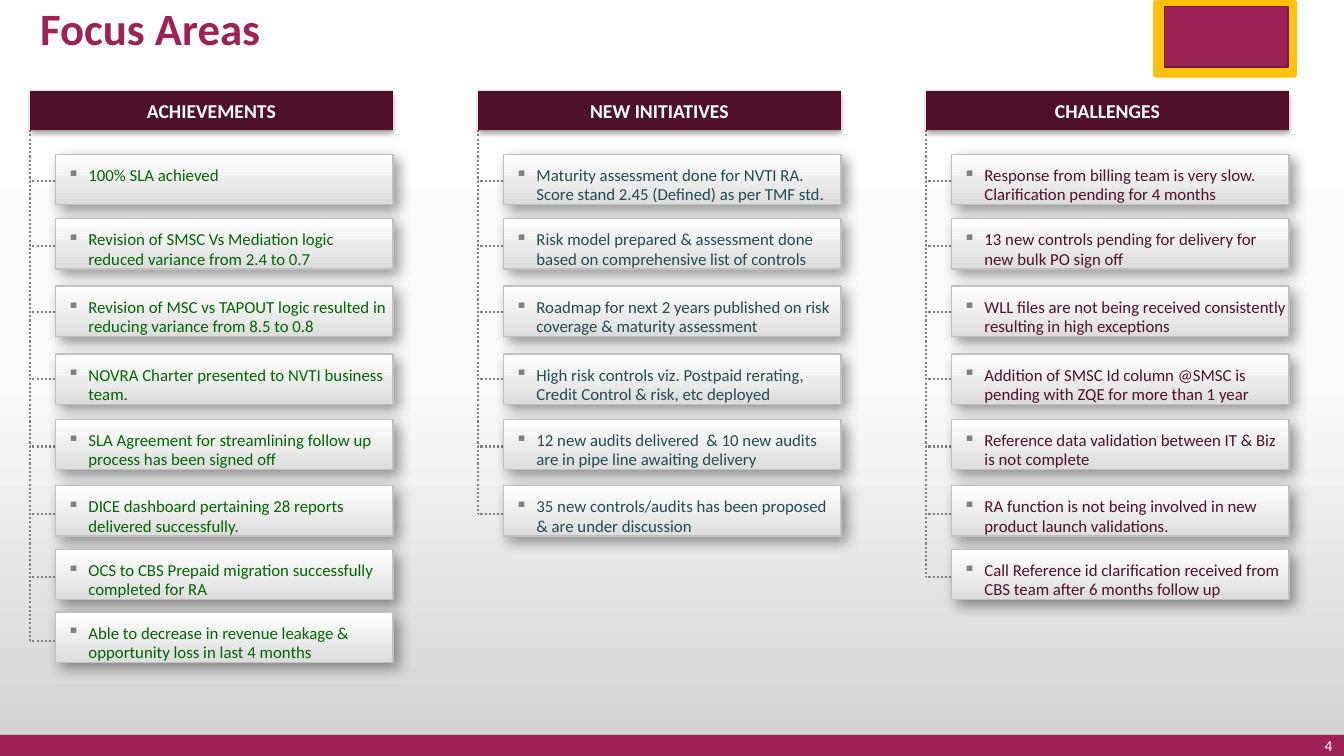
"""Build the Focus Areas slide with three columns of linked cards."""
import copy

import lxml.etree
import pptx
import pptx.dml.color
import pptx.enum.dml
import pptx.enum.shapes
import pptx.enum.text
import pptx.oxml.ns
import pptx.util

Cm = pptx.util.Cm
Pt = pptx.util.Pt
RGBColor = pptx.dml.color.RGBColor
MSO_SHAPE = pptx.enum.shapes.MSO_SHAPE
PP_ALIGN = pptx.enum.text.PP_ALIGN
MSO_ANCHOR = pptx.enum.text.MSO_ANCHOR
qn = pptx.oxml.ns.qn

BERRY = RGBColor(0x9E, 0x21, 0x56)
BERRY_EDGE = RGBColor(0x75, 0x18, 0x40)
PLUM = RGBColor(0x4F, 0x10, 0x2B)
GOLD = RGBColor(0xFF, 0xC1, 0x0E)
GREEN = RGBColor(0x00, 0x66, 0x00)
TEAL = RGBColor(0x22, 0x4B, 0x50)
GREY = RGBColor(0x80, 0x80, 0x80)
SILVER = RGBColor(0xC0, 0xC0, 0xC0)
CARD_GREY = RGBColor(0xDD, 0xDD, 0xDD)
PAGE_LIGHT = RGBColor(0xFB, 0xFB, 0xFB)
PAGE_DARK = RGBColor(0xD1, 0xD1, 0xD1)
WHITE = RGBColor(0xFF, 0xFF, 0xFF)
BLACK = RGBColor(0, 0, 0)

FONT = "Calibri"
COLUMN_LEFT, COLUMN_STEP = 0.76, 11.29
HEADER_TOP, HEADER_WIDTH, HEADER_HEIGHT = 2.29, 9.14, 0.99
CARD_INDENT, CARD_WIDTH, CARD_HEIGHT = 0.64, 8.51, 1.27
CARD_TOPS = [3.89, 5.51, 7.21, 8.92, 10.57, 12.24, 13.84, 15.42]
BRANCH_TOPS = [4.55, 6.2, 7.87, 9.55, 11.25, 12.95, 14.53, 16.15]

COLUMNS = [
    ("ACHIEVEMENTS", GREEN, [
        "100% SLA achieved",
        "Revision of SMSC Vs Mediation logic reduced variance from 2.4 to 0.7",
        "Revision of MSC vs TAPOUT logic resulted in reducing variance from 8.5 to 0.8",
        "NOVRA Charter presented to NVTI business team.",
        "SLA Agreement for streamlining follow up process has been signed off",
        "DICE dashboard pertaining 28 reports delivered successfully.",
        "OCS to CBS Prepaid migration successfully completed for RA",
        "Able to decrease in revenue leakage & opportunity loss in last 4 months",
    ]),
    ("NEW INITIATIVES", TEAL, [
        "Maturity assessment done for NVTI RA. Score stand 2.45 (Defined) as per TMF std.",
        "Risk model prepared & assessment done based on comprehensive list of controls",
        "Roadmap for next 2 years published on risk coverage & maturity assessment",
        "High risk controls viz. Postpaid rerating, Credit Control & risk, etc deployed",
        "12 new audits delivered  & 10 new audits are in pipe line awaiting delivery",
        "35 new controls/audits has been proposed & are under discussion",
    ]),
    ("CHALLENGES", PLUM, [
        "Response from billing team is very slow. Clarification pending for 4 months",
        "13 new controls pending for delivery for new bulk PO sign off",
        "WLL files are not being received consistently resulting in high exceptions",
        "Addition of SMSC Id column @SMSC is pending with ZQE for more than 1 year",
        "Reference data validation between IT & Biz is not complete",
        "RA function is not being involved in new product launch validations.",
        "Call Reference id clarification received from CBS team after 6 months follow up",
    ]),
]


def add_box(s, kind, left, top, width, height, fill=None, line=None):
    """Add a preset shape without shadow."""
    sp = s.shapes.add_shape(kind, Cm(left), Cm(top), Cm(width), Cm(height))
    sp.shadow.inherit = False
    if fill is not None:
        sp.fill.solid()
        sp.fill.fore_color.rgb = fill
    if line is None:
        sp.line.fill.background()
    else:
        sp.line.color.rgb = line
        sp.line.width = Pt(1)
    return sp


def add_shadow(sp, opacity, blur, distance, angle):
    """Give a shape an outer shadow."""
    effects = sp.element.find(qn("p:spPr")).find(qn("a:effectLst"))
    shadow = lxml.etree.SubElement(
        effects, qn("a:outerShdw"), blurRad=str(Pt(blur)), dist=str(Pt(distance)),
        dir=str(angle * 60000), algn="ctr", rotWithShape="0")
    color = lxml.etree.SubElement(shadow, qn("a:srgbClr"), val=str(BLACK))
    lxml.etree.SubElement(color, qn("a:alpha"), val=str(opacity * 1000))


def color_stops(fill, colors, angle):
    """Set the colours and direction of a gradient fill."""
    fill.gradient_angle = angle
    for i, (stop, color) in enumerate(zip(fill.gradient_stops, colors)):
        stop.color.rgb = color
        stop.position = i / (len(colors) - 1)


def set_background(s):
    """Fill the page with a three-stop vertical gradient."""
    fill = s.background.fill
    fill.gradient()
    stops = s.element.find(".//" + qn("a:gsLst"))
    stops.append(copy.deepcopy(stops[-1]))
    color_stops(fill, [WHITE, PAGE_LIGHT, PAGE_DARK], 270)


def set_text(sp, text, size, color, bold=False, align=PP_ALIGN.LEFT,
             anchor=MSO_ANCHOR.MIDDLE):
    """Write one styled paragraph into a shape."""
    tf = sp.text_frame
    tf.word_wrap = True
    tf.vertical_anchor = anchor
    p = tf.paragraphs[0]
    p.text = text
    p.alignment = align
    p.font.name = FONT
    p.font.size = Pt(size)
    p.font.bold = bold
    p.font.color.rgb = color
    return p


def add_label(s, left, top, width, height, *style, **options):
    """Add a text box with one paragraph."""
    sp = s.shapes.add_textbox(Cm(left), Cm(top), Cm(width), Cm(height))
    return set_text(sp, *style, **options)


def add_bullet(p):
    """Give a paragraph a hanging grey square bullet."""
    pPr = p._p.get_or_add_pPr()
    pPr.set("marL", str(Cm(0.53)))
    pPr.set("indent", str(-Cm(0.53)))
    color = lxml.etree.Element(qn("a:buClr"))
    lxml.etree.SubElement(color, qn("a:srgbClr"), val=str(GREY))
    mark = lxml.etree.Element(qn("a:buChar"), char="▪")
    font = pPr.find(qn("a:defRPr"))
    font.addprevious(color)
    font.addprevious(mark)


def add_dotted_line(s, x1, y1, x2, y2):
    """Add a dotted grey connector."""
    c = s.shapes.add_connector(pptx.enum.shapes.MSO_CONNECTOR.STRAIGHT,
                               Cm(x1), Cm(y1), Cm(x2), Cm(y2))
    c.line.color.rgb = GREY
    c.line.width = Pt(1.5)
    c.line.dash_style = pptx.enum.dml.MSO_LINE.ROUND_DOT
    lxml.etree.SubElement(c.element.find(qn("p:spPr")), qn("a:effectLst"))


def add_card(s, left, top, text, color):
    """Add a shaded card holding one bulleted statement."""
    sp = add_box(s, MSO_SHAPE.RECTANGLE, left, top, CARD_WIDTH, CARD_HEIGHT, line=SILVER)
    sp.fill.gradient()
    color_stops(sp.fill, [CARD_GREY, WHITE], 90)
    add_shadow(sp, 40, 10, 5, 45)
    tf = sp.text_frame
    tf.margin_left = tf.margin_top = Cm(0.3)
    tf.margin_right = tf.margin_bottom = 0
    p = set_text(sp, text, 12, color, anchor=MSO_ANCHOR.TOP)
    p.line_spacing = 0.95
    p.space_after = Pt(8)
    add_bullet(p)


def add_column(s, left, heading, color, statements):
    """Add a heading with its dotted tree of cards."""
    add_dotted_line(s, left, HEADER_TOP + HEADER_HEIGHT,
                    left, BRANCH_TOPS[len(statements) - 1])
    sp = add_box(s, MSO_SHAPE.RECTANGLE, left, HEADER_TOP, HEADER_WIDTH, HEADER_HEIGHT, PLUM)
    add_shadow(sp, 32, 3.5, 2.2, 90)
    set_text(sp, heading, 14, WHITE, True, PP_ALIGN.CENTER)
    card_left = left + CARD_INDENT
    for text, top, branch in zip(statements, CARD_TOPS, BRANCH_TOPS):
        add_dotted_line(s, card_left, branch, left, branch)
        add_card(s, card_left, top, text, color)


def main():
    """Build and save the slide."""
    prs = pptx.Presentation()
    prs.slide_width, prs.slide_height = Cm(33.87), Cm(19.05)
    s = prs.slides.add_slide(prs.slide_layouts[6])
    set_background(s)
    add_box(s, MSO_SHAPE.RECTANGLE, 0, 18.52, 33.87, 0.53, BERRY)
    frame = add_box(s, MSO_SHAPE.ROUNDED_RECTANGLE, 29.06, 0, 3.63, 1.96, GOLD)
    frame.adjustments[0] = 0.04
    add_box(s, MSO_SHAPE.RECTANGLE, 29.34, 0.17, 3.12, 1.52, BERRY, BERRY_EDGE)
    title = add_label(s, 0.76, 0.17, 17.4, 1.2, "Focus Areas", 32, BERRY, bold=True)
    title.line_spacing = 0.9
    add_label(s, 26.21, 18.72, 7.62, 0.13, "4", 11, WHITE, align=PP_ALIGN.RIGHT)
    for i, column in enumerate(COLUMNS):
        add_column(s, COLUMN_LEFT + i * COLUMN_STEP, *column)
    prs.save("out.pptx")


if __name__ == "__main__":
    main()
